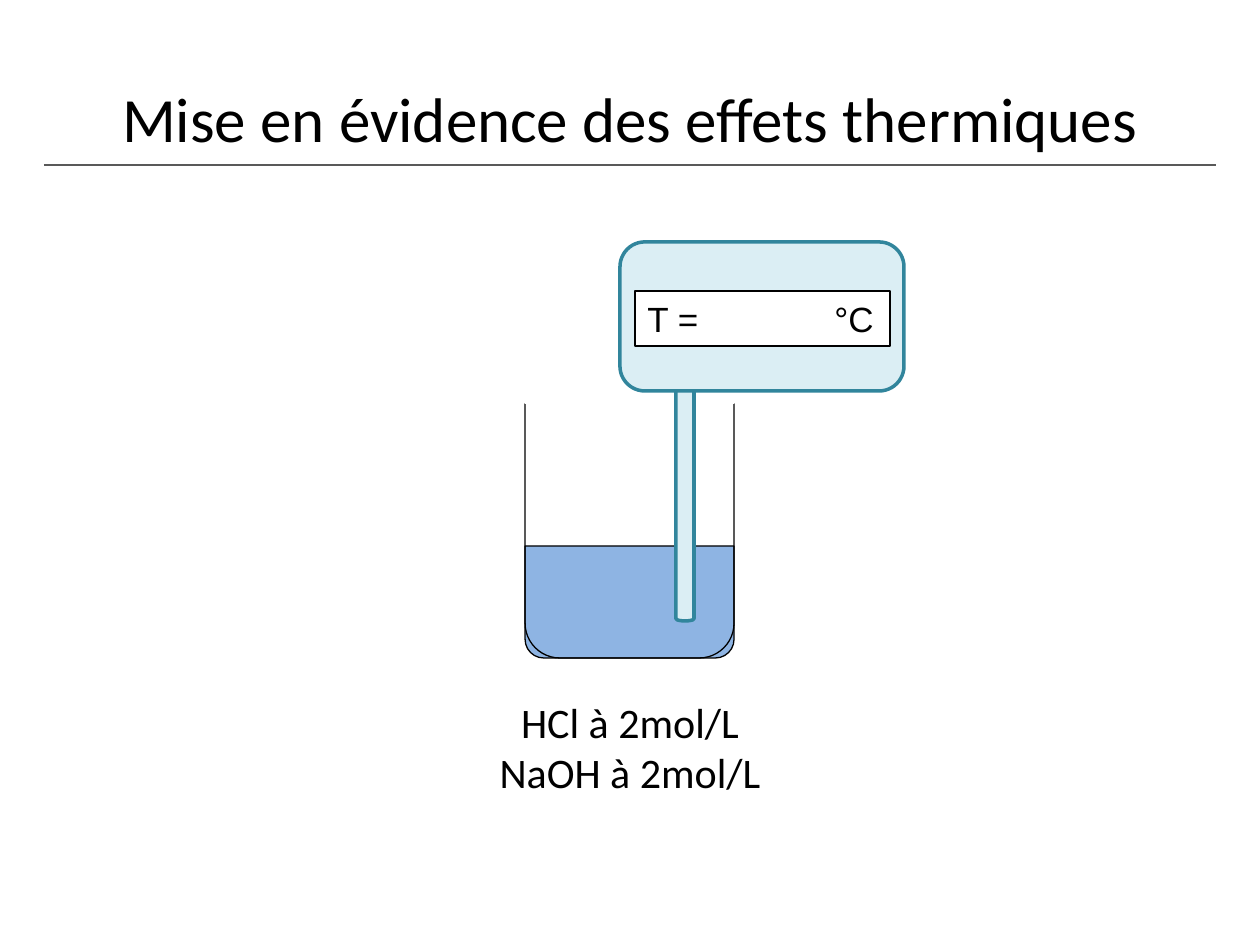
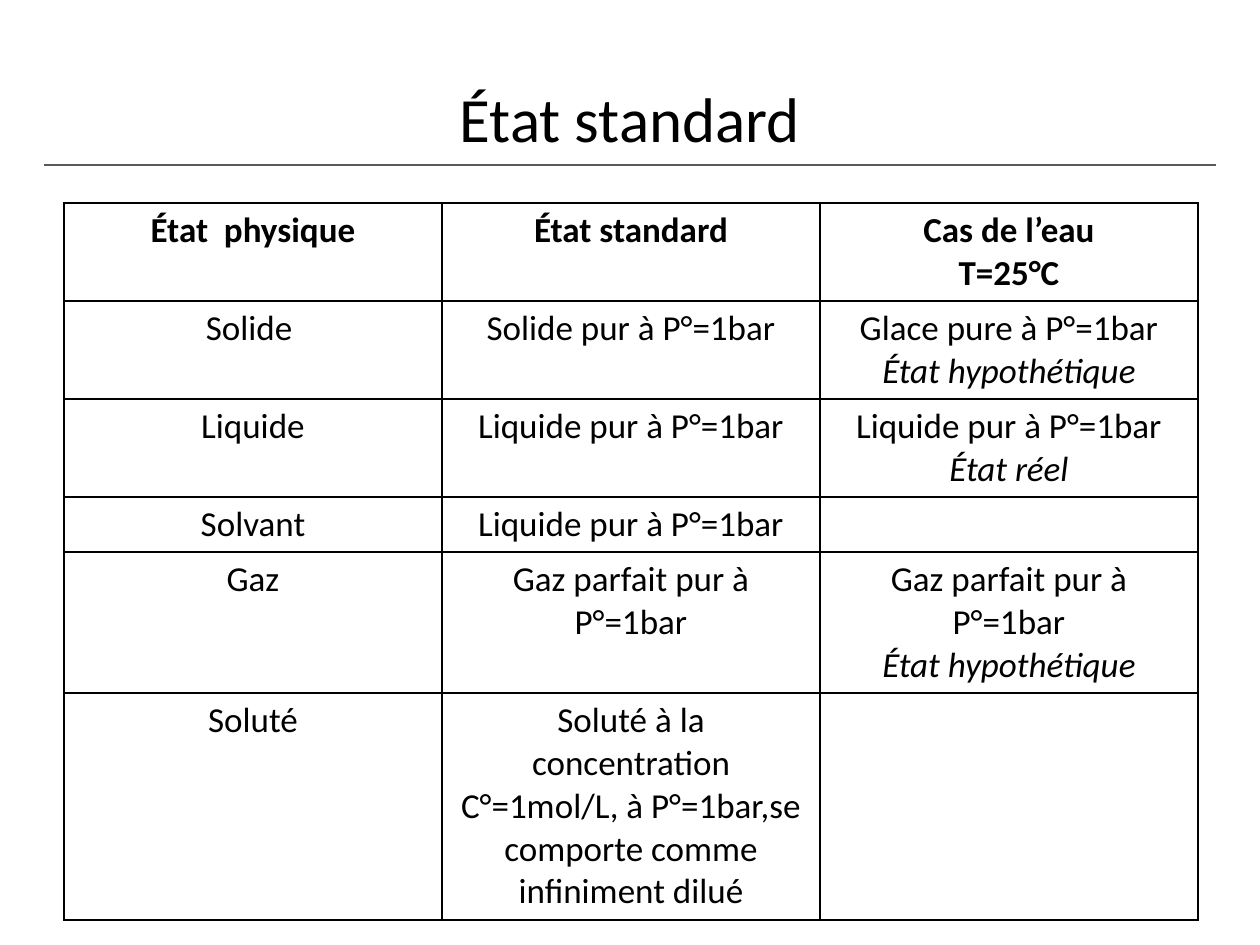
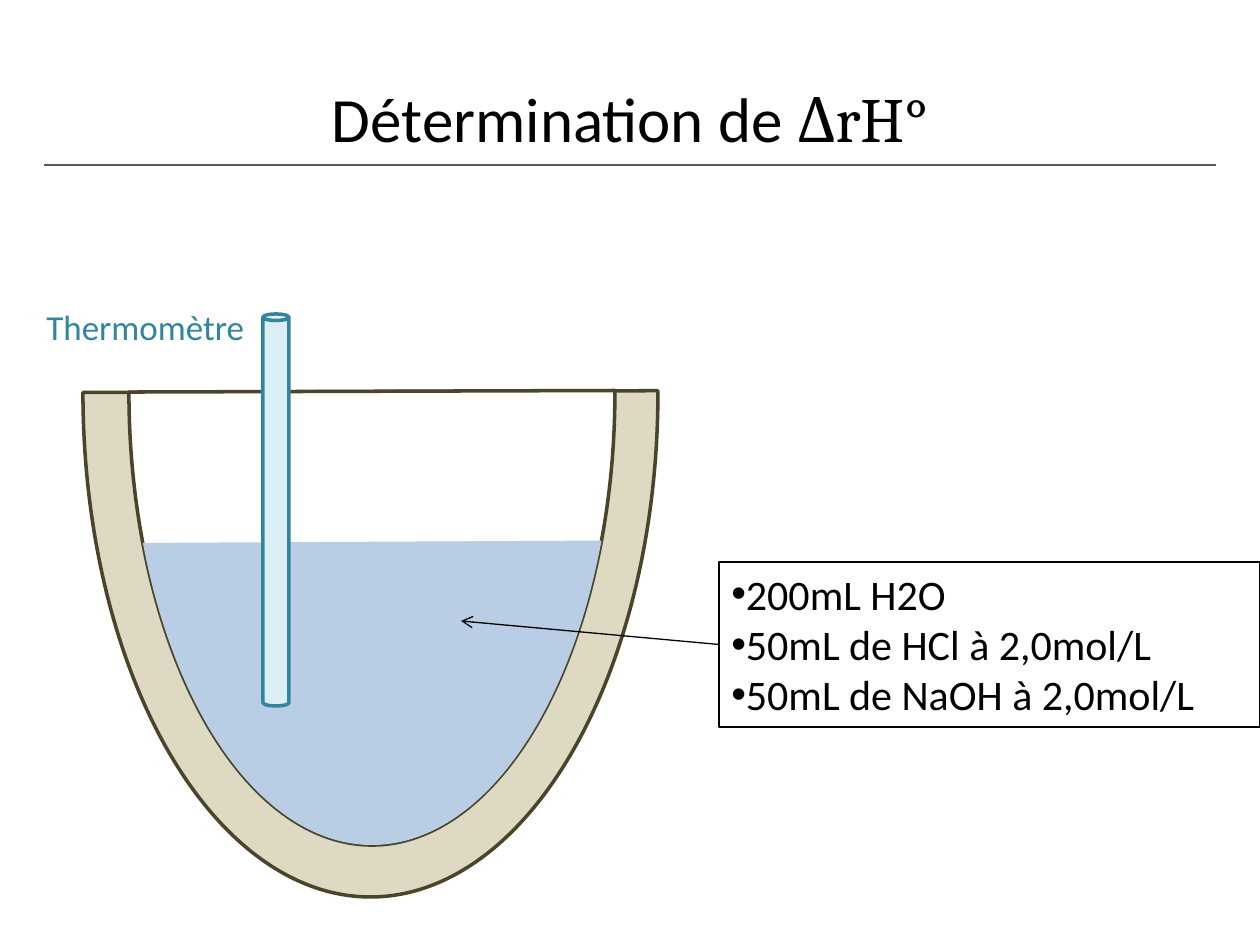
from lxml.etree import SubElement
from pptx import Presentation
from pptx.dml.color import RGBColor
from pptx.enum.shapes import MSO_CONNECTOR, MSO_SHAPE
from pptx.enum.text import MSO_ANCHOR, PP_ALIGN
from pptx.oxml.ns import qn
from pptx.util import Emu, Pt

# Colours
BLACK = RGBColor(0x00, 0x00, 0x00)
WHITE = RGBColor(0xFF, 0xFF, 0xFF)
RULE_GREY = RGBColor(0x59, 0x59, 0x59)
BEAKER_BLUE = RGBColor(0x8E, 0xB4, 0xE3)
VESSEL_BLUE = RGBColor(0xB9, 0xCD, 0xE5)
PROBE_FILL = RGBColor(0xDB, 0xEE, 0xF4)
PROBE_TEAL = RGBColor(0x31, 0x85, 0x9C)
WALL_FILL = RGBColor(0xDD, 0xD9, 0xC3)
WALL_BROWN = RGBColor(0x4A, 0x45, 0x2A)

# Content: a paragraph is a string or a list of (text, font) runs
EFFECTS_TITLE = "Mise en évidence des effets thermiques"
SOLUTIONS = ["HCl à 2mol/L", "NaOH à 2mol/L"]
DISPLAY = "T =\t°C"

STANDARD_TITLE = "État standard"
STATES = [
    (["État  physique"], ["État standard"], ["Cas de l’eau", "T=25°C"]),
    (["Solide "], ["Solide pur à P°=1bar"], ["Glace pure à P°=1bar", "État hypothétique"]),
    (["Liquide"], ["Liquide pur à P°=1bar"], ["Liquide pur à P°=1bar", "État réel"]),
    (["Solvant"], ["Liquide pur à P°=1bar"], []),
    (["Gaz"], ["Gaz parfait pur à P°=1bar"], ["Gaz parfait pur à P°=1bar", "État hypothétique"]),
    (["Soluté"], ["Soluté à la concentration C°=1mol/L, à P°=1bar,se comporte "
                  "comme infiniment dilué"], []),
]
STATE_LINES = [2, 2, 2, 1, 3, 5]

ENTHALPY_TITLE = [("Détermination de ", "Calibri"), ("ΔrH°", "Cambria")]
THERMOMETER = "Thermomètre"
MIXTURE = ["200mL H2O", "50mL de HCl à 2,0mol/L", "50mL de NaOH à 2,0mol/L"]

# Layout in px
SLIDE = (1260, 945)
TITLE_BOX = (63, 38, 1134, 158)
WIDE_TITLE_BOX = (0, 38, 1260, 158)
RULE = (44, 165, 1216, 165)
TABLE_LEFT, TABLE_TOP, COLUMN = 64, 203, 378
LINE_HEIGHT, CELL_MARGINS = 43, 12
BEAKER_LEFT, BEAKER_WIDTH, BEAKER_BASE = 525, 209, 658
INNER_WALL = (-81, 149, 906, 486)

# Chord angles in degrees
CUT_ANGLES = (89.64, 270)
LIQUID_ANGLES = (122.91, 236.63)


def px(n):
    return Emu(round(n * 914400 / 126))


def write(frame, paragraphs, size=20, font="Calibri", color=BLACK, bold=False,
          italic=False, align=PP_ALIGN.LEFT, anchor=MSO_ANCHOR.TOP,
          bullet=None, tab=None):
    frame.word_wrap = True
    frame.vertical_anchor = anchor
    for i, content in enumerate(paragraphs):
        paragraph = frame.paragraphs[0] if i == 0 else frame.add_paragraph()
        paragraph.alignment = align
        properties = paragraph._p.get_or_add_pPr()
        if bullet:
            SubElement(properties, qn("a:buFont"), typeface="Arial")
            SubElement(properties, qn("a:buChar"), char=bullet)
        if tab:
            stops = SubElement(properties, qn("a:tabLst"))
            SubElement(stops, qn("a:tab"), pos=str(px(tab)), algn="l")
        runs = [(content, font)] if isinstance(content, str) else content
        for text, run_font in runs:
            run = paragraph.add_run()
            run.text = text
            run.font.name, run.font.size = run_font, Pt(size)
            run.font.bold, run.font.italic = bold, italic
            run.font.color.rgb = color


def add_text(slide, box, paragraphs, **style):
    frame = slide.shapes.add_textbox(*map(px, box)).text_frame
    write(frame, paragraphs, **style)


def add_part(shapes, kind, box, fill=None, line=None, weight=0.75, rotation=0, angles=()):
    part = shapes.add_shape(kind, *map(px, box))
    part.shadow.inherit = False
    part.rotation = rotation
    for i, degrees in enumerate(angles):
        # Angles are stored in 1/60000 degree, adjustments in 1/100000
        part.adjustments[i] = degrees * 60000 / 100000
    if fill is None:
        part.fill.background()
    else:
        part.fill.solid()
        part.fill.fore_color.rgb = fill
    if line is None:
        part.line.fill.background()
    else:
        part.line.color.rgb = line
        part.line.width = Pt(weight)
    return part


def add_line(slide, ends, color):
    line = slide.shapes.add_connector(MSO_CONNECTOR.STRAIGHT, *map(px, ends))
    line.line.color.rgb = color
    line.line.width = Pt(0.75)
    SubElement(line._element.spPr, qn("a:effectLst"))
    return line


def add_slide(prs, title, title_box=TITLE_BOX):
    slide = prs.slides.add_slide(prs.slide_layouts[6])
    add_text(slide, title_box, [title], size=36, align=PP_ALIGN.CENTER,
             anchor=MSO_ANCHOR.MIDDLE)
    add_line(slide, RULE, RULE_GREY)
    return slide


def add_probe(shapes, kind, box):
    return add_part(shapes, kind, box, PROBE_FILL, PROBE_TEAL, 2)


def effects_slide(prs):
    slide = add_slide(prs, EFFECTS_TITLE, WIDE_TITLE_BOX)

    # Beaker: liquid, glass, then a white strip that opens the top
    beaker = slide.shapes.add_group_shape().shapes
    for top, fill in ((546, BEAKER_BLUE), (396, None)):
        add_part(beaker, MSO_SHAPE.ROUND_2_SAME_RECTANGLE,
                 (BEAKER_LEFT, top, BEAKER_WIDTH, BEAKER_BASE - top),
                 fill, BLACK, rotation=180)
    add_part(beaker, MSO_SHAPE.RECTANGLE, (BEAKER_LEFT, 388, BEAKER_WIDTH, 15), WHITE, WHITE)
    add_text(slide, (397, 690, 466, 115), SOLUTIONS, size=24, align=PP_ALIGN.CENTER)

    # Digital thermometer
    meter = slide.shapes.add_group_shape().shapes
    add_probe(meter, MSO_SHAPE.CAN, (676, 377, 18, 244))
    add_probe(meter, MSO_SHAPE.ROUNDED_RECTANGLE, (620, 242, 284, 149))
    display = add_part(meter, MSO_SHAPE.RECTANGLE, (635, 291, 255, 55), WHITE, BLACK)
    write(display.text_frame, [DISPLAY], font="Arial", tab=187)


def add_borders(cell):
    properties = cell._tc.get_or_add_tcPr()
    for side in ("lnL", "lnR", "lnT", "lnB"):
        border = SubElement(properties, qn(f"a:{side}"), w=str(Pt(1)))
        fill = SubElement(border, qn("a:solidFill"))
        SubElement(fill, qn("a:srgbClr"), val=str(BLACK))


def standard_slide(prs):
    slide = add_slide(prs, STANDARD_TITLE)
    heights = [CELL_MARGINS + LINE_HEIGHT * lines for lines in STATE_LINES]
    columns = len(STATES[0])
    box = (TABLE_LEFT, TABLE_TOP, COLUMN * columns, sum(heights))
    table = slide.shapes.add_table(len(STATES), columns, *map(px, box)).table
    table.first_row = table.horz_banding = False
    for r, (state, height) in enumerate(zip(STATES, heights)):
        table.rows[r].height = px(height)
        for c, lines in enumerate(state):
            cell = table.cell(r, c)
            add_borders(cell)
            cell.fill.background()
            write(cell.text_frame, lines, bold=r == 0, align=PP_ALIGN.CENTER)
            # The second line of the water column says whether the state is real
            if r > 0 and len(lines) == 2:
                cell.text_frame.paragraphs[1].runs[0].font.italic = True


def enthalpy_slide(prs):
    slide = add_slide(prs, ENTHALPY_TITLE)

    # Calorimeter: outer wall, inner wall, liquid
    vessel = slide.shapes.add_group_shape().shapes
    for box, angles, fill, line in (
        ((-134, 105, 1009, 575), CUT_ANGLES, WALL_FILL, WALL_BROWN),
        (INNER_WALL, CUT_ANGLES, WHITE, WALL_BROWN),
        (INNER_WALL, LIQUID_ANGLES, VESSEL_BLUE, None),
    ):
        add_part(vessel, MSO_SHAPE.CHORD, box, fill, line, 2, rotation=270, angles=angles)

    # Thermometer
    add_probe(slide.shapes, MSO_SHAPE.CAN, (263, 314, 26, 392))
    add_text(slide, (34, 299, 228, 55), [THERMOMETER], color=PROBE_TEAL)

    # Mixture and its arrow
    mixture = add_part(slide.shapes, MSO_SHAPE.RECTANGLE, (719, 562, 541, 165), line=BLACK)
    write(mixture.text_frame, MIXTURE, size=24, bullet="•")
    arrow = add_line(slide, (719, 645, 461, 621), BLACK)
    arrow.begin_connect(mixture, 1)
    SubElement(arrow.line._get_or_add_ln(), qn("a:tailEnd"), type="arrow")


def main():
    prs = Presentation()
    prs.slide_width, prs.slide_height = map(px, SLIDE)
    effects_slide(prs)
    standard_slide(prs)
    enthalpy_slide(prs)
    prs.save("out.pptx")


if __name__ == "__main__":
    main()
